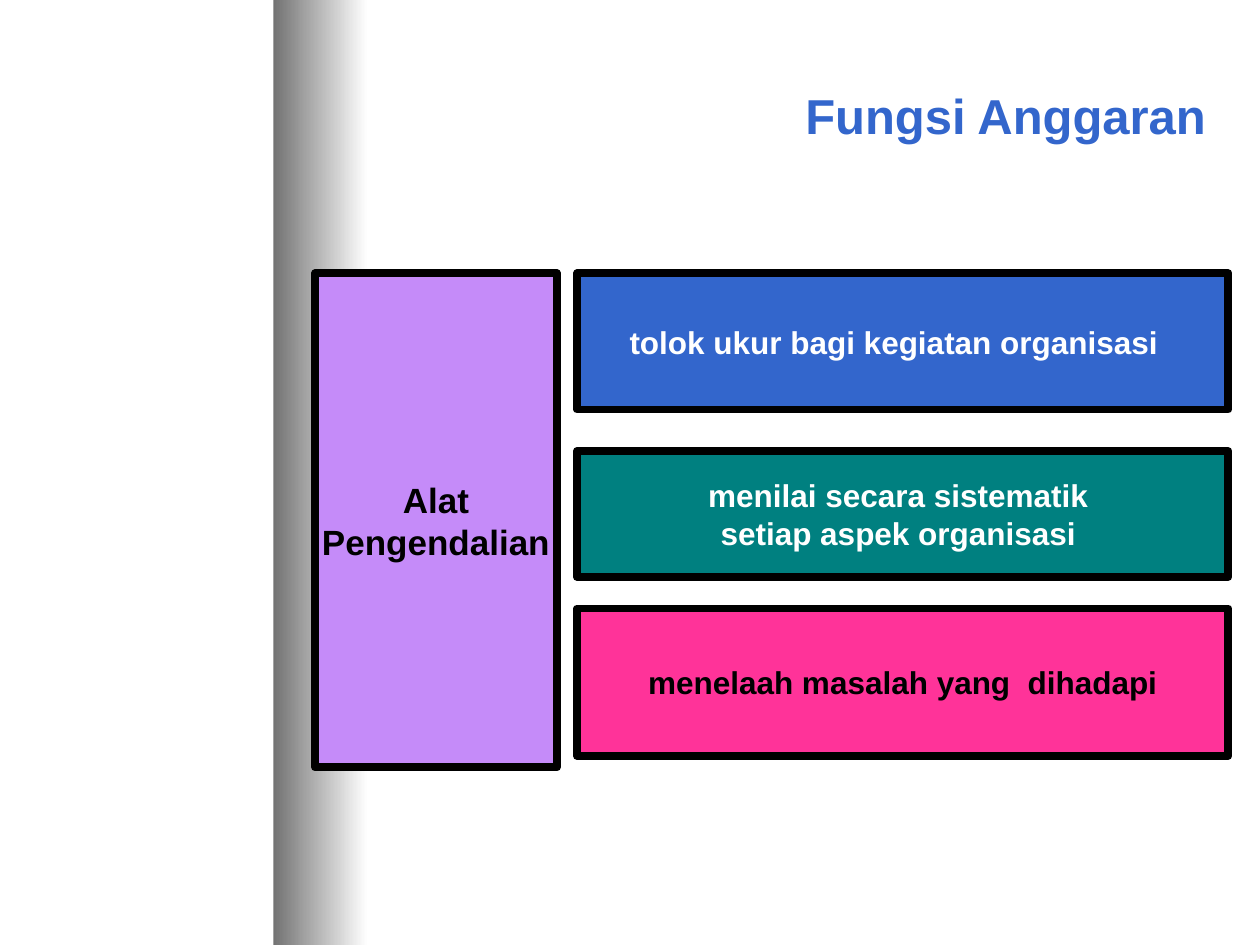
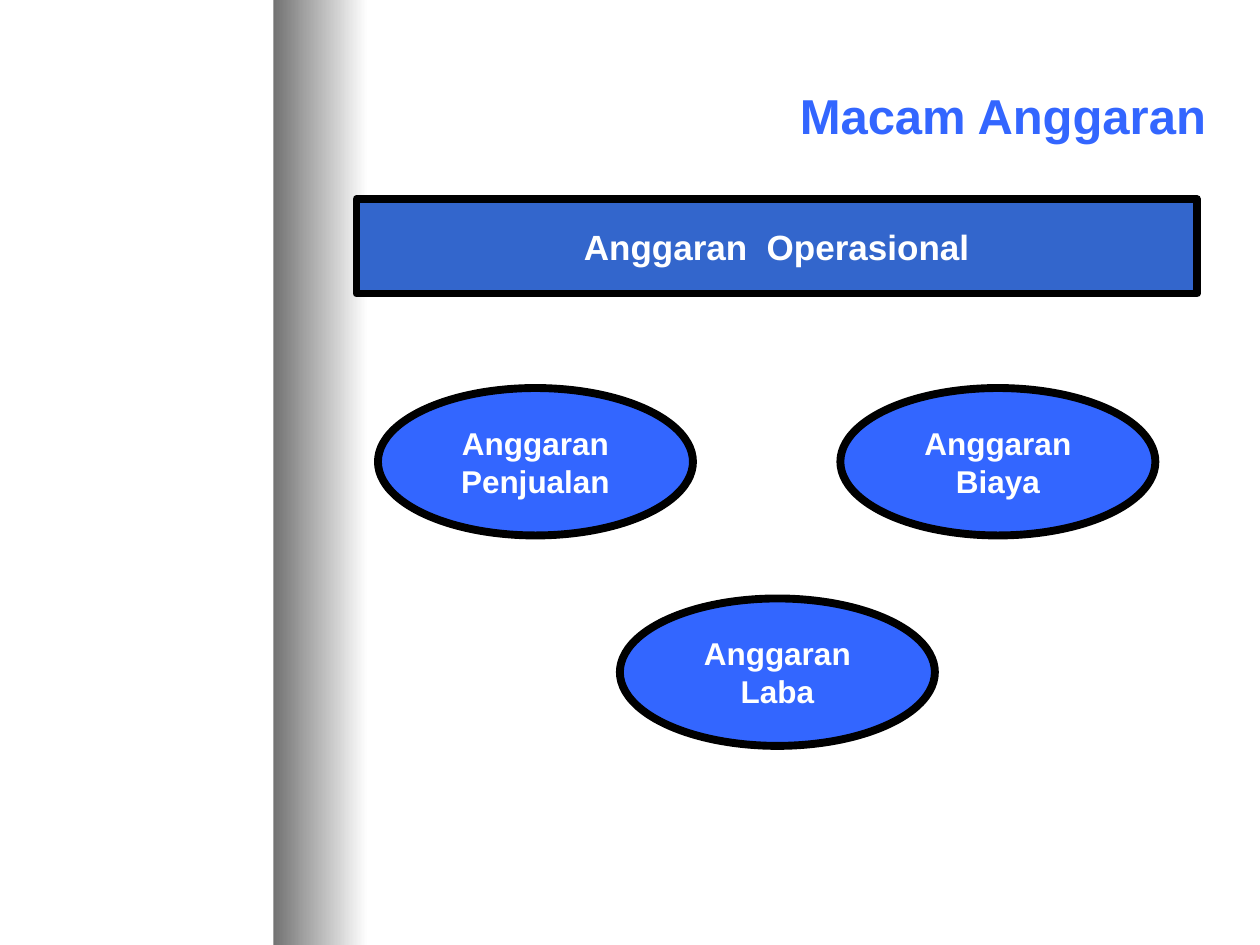
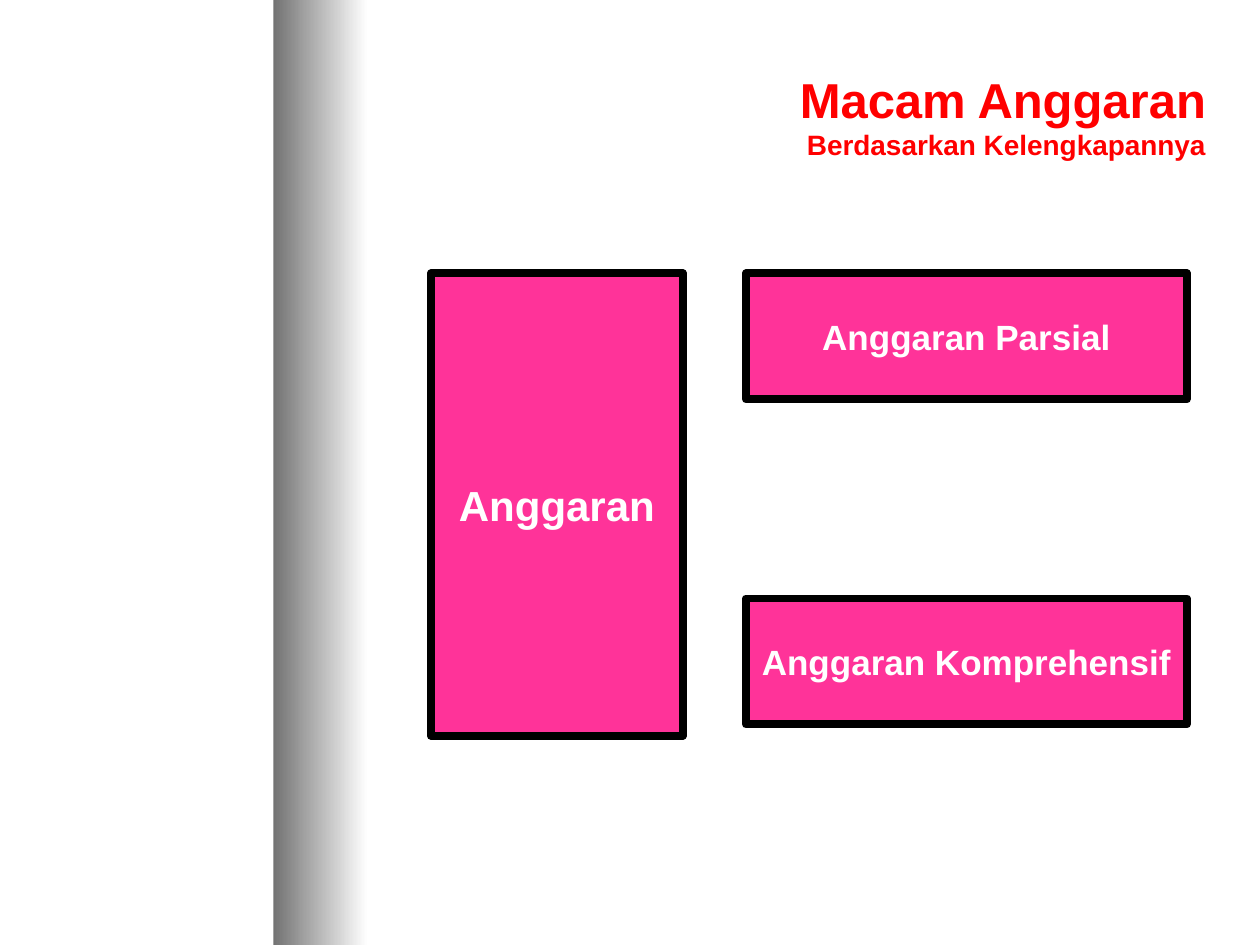
from pptx import Presentation
from pptx.dml.color import RGBColor as RGB
from pptx.enum.shapes import MSO_SHAPE as Kind
from pptx.enum.text import MSO_ANCHOR as Anchor, MSO_AUTO_SIZE as Fit, PP_ALIGN as Align
from pptx.util import Inches, Pt

BLACK = RGB(0x00, 0x00, 0x00)
WHITE = RGB(0xFF, 0xFF, 0xFF)
GREY = RGB(0x73, 0x73, 0x73)
NAVY = RGB(0x33, 0x66, 0xCC)
BLUE = RGB(0x33, 0x66, 0xFF)
TEAL = RGB(0x00, 0x80, 0x80)
PINK = RGB(0xFF, 0x33, 0x99)
LILAC = RGB(0xC5, 0x8B, 0xF9)
RED = RGB(0xFF, 0x00, 0x00)


class Deck:
    """Hold the shared style and the current slide."""

    font = "Arial"
    edge = Pt(4.5)
    inset = 0.1

    def __init__(self):
        self.prs = Presentation()
        self.prs.slide_width = Inches(10)
        self.prs.slide_height = Inches(7.5)
        self.layout = self.prs.slide_layouts[5]
        self.slide = None

    def run(self, para, text, size, color):
        run = para.add_run()
        run.text = text
        font = run.font
        font.name, font.size, font.bold = self.font, Pt(size), True
        font.color.rgb = color

    def shape(self, kind, left, top, width, height):
        shape = self.slide.shapes.add_shape(
            kind, Inches(left), Inches(top), Inches(width), Inches(height))
        shape.shadow.inherit = False
        return shape

    def band(self):
        band = self.shape(Kind.RECTANGLE, 2.17, 0, 0.75, 7.5)
        band.line.fill.background()
        band.fill.gradient()
        band.fill.gradient_angle = 0
        for stop, color in zip(band.fill.gradient_stops, (GREY, WHITE)):
            stop.color.rgb = color
        self.layout.shapes.element.insert(2, band.element)

    def page(self, title, color, sub=None):
        first = self.slide is None
        self.slide = self.prs.slides.add_slide(self.layout)
        if first:
            self.band()
        head = self.slide.shapes.title
        head.left, head.top = Inches(2.67), Inches(0.25)
        head.width, head.height = Inches(7), Inches(1.33)
        frame = head.text_frame
        frame.auto_size = Fit.NONE
        frame.vertical_anchor = Anchor.MIDDLE
        para = frame.paragraphs[0]
        para.alignment = Align.RIGHT
        self.run(para, title, 28, color)
        if sub:
            para.add_line_break()
            self.run(para, sub, 16, color)

    def box(self, lines, left, top, width, height, fill,
            size=18, color=WHITE, kind=Kind.RECTANGLE, pad=0):
        box = self.shape(kind, left, top, width, height)
        box.fill.solid()
        box.fill.fore_color.rgb = fill
        box.line.color.rgb = BLACK
        box.line.width = self.edge
        frame = box.text_frame
        frame.word_wrap = False
        frame.vertical_anchor = Anchor.MIDDLE
        frame.margin_right = Inches(self.inset + pad)
        for i, text in enumerate(lines):
            para = frame.add_paragraph() if i else frame.paragraphs[0]
            para.alignment = Align.CENTER
            self.run(para, text, size, color)


def main():
    deck = Deck()

    deck.page("Fungsi Anggaran", NAVY)
    roles = (
        (["tolok ukur bagi kegiatan organisasi"], 2.17, 1.08, NAVY, WHITE, 0.14),
        (["menilai secara sistematik", "setiap aspek organisasi"],
         3.58, 1, TEAL, WHITE, 0.07),
        (["menelaah masalah yang  dihadapi"], 4.83, 1.17, PINK, BLACK, 0),
    )
    for lines, top, height, fill, color, pad in roles:
        deck.box(lines, 4.58, top, 5.17, height, fill, color=color, pad=pad)
    deck.box(["Alat", "Pengendalian"], 2.5, 2.17, 1.92, 3.92, LILAC, 20, BLACK)

    deck.page("Macam Anggaran", BLUE)
    deck.box(["Anggaran  Operasional"], 2.83, 1.58, 6.67, 0.75, NAVY, 20)
    kinds = (("Penjualan", 3, 3.08), ("Laba", 4.92, 4.75), ("Biaya", 6.67, 3.08))
    for name, left, top in kinds:
        deck.box(["Anggaran", name], left, top, 2.5, 1.17, BLUE, kind=Kind.OVAL)

    deck.page("Macam Anggaran", RED, "Berdasarkan Kelengkapannya")
    deck.box(["Anggaran"], 3.42, 2.17, 2, 3.67, PINK, 24)
    for name, top in (("Parsial", 2.17), ("Komprehensif", 4.75)):
        deck.box([f"Anggaran {name}"], 5.92, top, 3.5, 1, PINK, 20)

    deck.prs.save("out.pptx")


if __name__ == "__main__":
    main()
